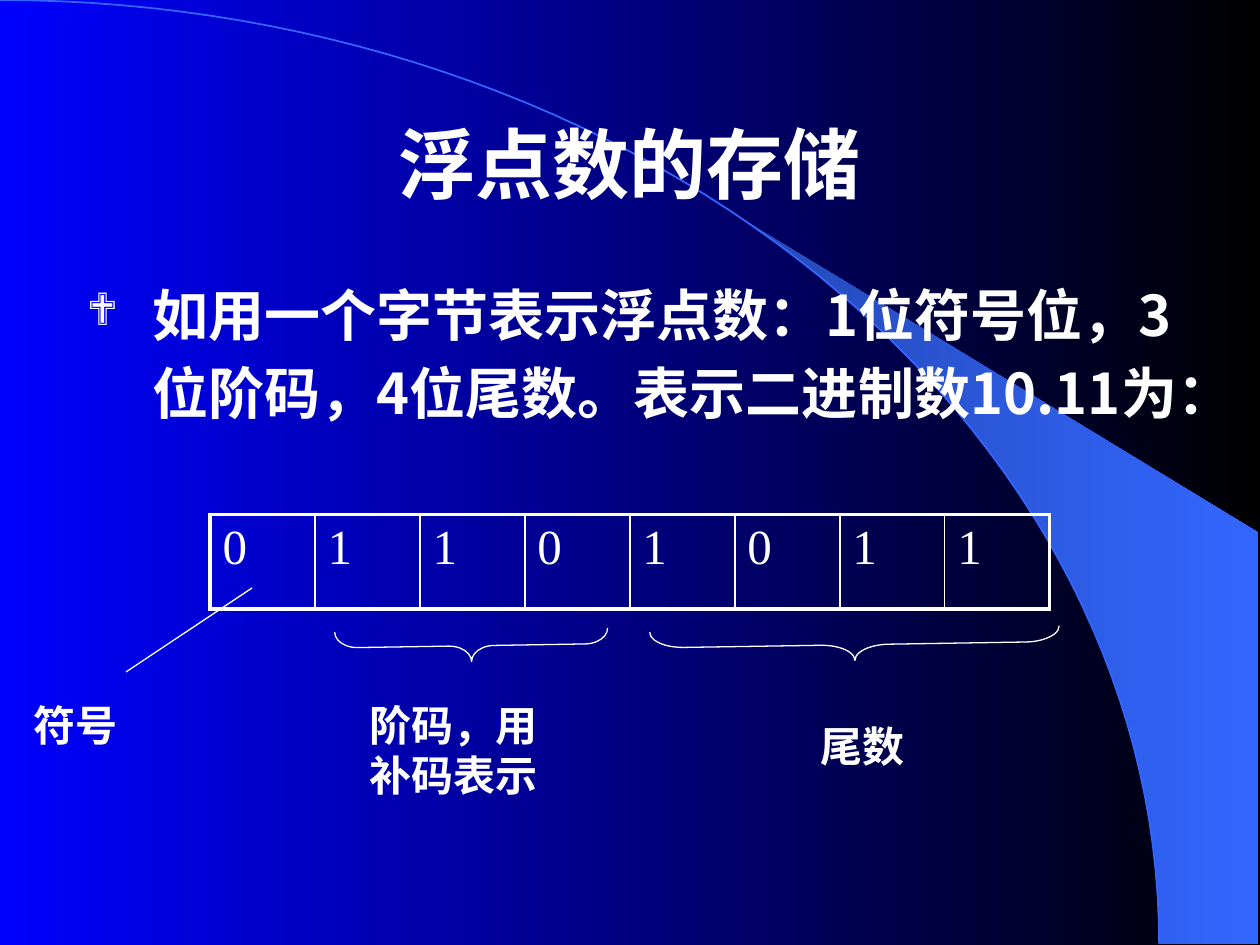
from math import asin, cos, pi, sin

from lxml.etree import SubElement
from pptx import Presentation
from pptx.dml.color import RGBColor
from pptx.enum.shapes import MSO_CONNECTOR, MSO_SHAPE
from pptx.enum.text import MSO_ANCHOR, PP_ALIGN
from pptx.oxml.ns import qn
from pptx.util import Inches, Pt

COLORS = {
    "text": "FFFFFF",
    "left": "0000FF",
    "right": "000000",
    "fan dark": "2449B6",
    "fan light": "3366FF",
}
RGB = {name: RGBColor.from_string(value) for name, value in COLORS.items()}

deck = Presentation()
deck.slide_width, deck.slide_height = Inches(10), Inches(7.5)
UNIT = deck.slide_width / 120  # the slide is a grid of 120 columns by 90 rows


def grid(*cells):
    """Turn columns and rows of the grid into lengths."""
    return [round(cell * UNIT) for cell in cells]


def style(paragraph, size, font_name, bold=True):
    font = paragraph.font
    font.size, font.name, font.bold = Pt(size), font_name, bold
    font.color.rgb = RGB["text"]
    SubElement(font._element, qn("a:ea"), typeface="Noto Sans CJK SC")


page = deck.slides.add_slide(deck.slide_layouts[5])

# Arc and fan; the fan's inner edge follows the arc
ARC_WIDTH, ARC_HEIGHT, FAN_LEFT, RIGHT = 110.4, 89.88, 70.7, 119.88
STEPS = 60
fan_start = asin(FAN_LEFT / ARC_WIDTH)
curves = {}
for name, start in (("fan", fan_start), ("arc", 0)):
    angles = [start + (pi / 2 - start) * step / STEPS for step in range(STEPS + 1)]
    curves[name] = [(ARC_WIDTH * sin(a), ARC_HEIGHT * (1 - cos(a))) for a in angles]
curves["fan"] += [(RIGHT, ARC_HEIGHT), (RIGHT, 50.76)]

outlines = {}
for name, points in curves.items():
    points = [grid(*point) for point in points]
    builder = page.shapes.build_freeform(*points[0])
    builder.add_line_segments(points[1:], close=name == "fan")
    outlines[name] = builder.convert_to_shape()
    outlines[name].shadow.inherit = False
outlines["fan"].line.fill.background()
outlines["arc"].fill.background()
outlines["arc"].line.color.rgb = RGB["fan light"]
outlines["arc"].line.width = Pt(1)

for fill, ends in (
    (page.background.fill, ("left", "right")),
    (outlines["fan"].fill, ("fan dark", "fan light")),
):
    fill.gradient()
    fill.gradient_angle = 0
    for stop, position, end in zip(fill.gradient_stops, (0, 1), ends):
        stop.position, stop.color.rgb = position, RGB[end]

# Title, in front of the arc
title = page.shapes.title
title.left, title.top, title.width, title.height = grid(9, 8, 102, 15)
title.text_frame.text = "浮点数的存储"
title.text_frame.vertical_anchor = MSO_ANCHOR.MIDDLE
title.text_frame.paragraphs[0].alignment = PP_ALIGN.CENTER
style(title.text_frame.paragraphs[0], 44, "Arial")
page.shapes._spTree.append(title._element)

# Bulleted statement
body = page.shapes.add_textbox(*grid(7.1, 25.2, 107.6, 22))
body.text_frame.word_wrap = True
paragraph = body.text_frame.paragraphs[0]
paragraph.text = "如用一个字节表示浮点数：1位符号位，3位阶码，4位尾数。表示二进制数10.11为："
paragraph.line_spacing = 1.15
properties = paragraph._p.get_or_add_pPr()
properties.set("marL", str(Inches(0.52)))
properties.set("indent", str(-Inches(0.52)))
bullet_color = SubElement(properties, qn("a:buClr"))
SubElement(bullet_color, qn("a:srgbClr"), val=COLORS["text"])
SubElement(properties, qn("a:buSzPct"), val="80000")
SubElement(properties, qn("a:buFont"), typeface="Wingdings")
SubElement(properties, qn("a:buChar"), char="❖")
style(paragraph, 32, "Noto Sans CJK SC")

# The byte, one bit a cell, with a heavier outer border
BITS = "01101011"
table = page.shapes.add_table(1, len(BITS), *grid(20, 49, 80, 9)).table
table.first_row = table.horz_banding = False
for column, bit in enumerate(BITS):
    cell = table.cell(0, column)
    cell.text = bit
    style(cell.text_frame.paragraphs[0], 28, "Times New Roman", bold=False)
    borders = {
        "lnL": 2.25 if column == 0 else 1,
        "lnR": 2.25 if column == len(BITS) - 1 else 1,
        "lnT": 2.25,
        "lnB": 2.25,
    }
    for side, width in borders.items():
        border = SubElement(cell._tc.get_or_add_tcPr(), qn(f"a:{side}"), w=str(Pt(width)))
        border_fill = SubElement(border, qn("a:solidFill"))
        SubElement(border_fill, qn("a:srgbClr"), val=COLORS["text"])
    cell.fill.background()

# Pointer to the sign bit
pointer = page.shapes.add_connector(MSO_CONNECTOR.STRAIGHT, *grid(24, 56, 12, 64))
pointer.line.color.rgb = RGB["text"]
pointer.line.width = Pt(0.75)
SubElement(pointer._element.spPr, qn("a:effectLst"))

# Braces under the exponent and the mantissa
for left, top, length, curl in ((43.4, 48.5, 26, 0.722), (79.9, 41.9, 39, 1.083)):
    brace = page.shapes.add_shape(MSO_SHAPE.LEFT_BRACE, *grid(left, top, 3, length))
    brace.rotation = 269.1
    brace.adjustments[0] = curl
    brace.shadow.inherit = False
    brace.fill.background()
    brace.line.color.rgb = RGB["text"]
    brace.line.width = Pt(0.75)

# Names of the parts
for text, *place in (
    ("符号", 2, 66, 11, 6),
    ("阶码，用补码表示", 34, 66, 19, 10.8),
    ("尾数", 77, 68, 21, 6),
):
    label = page.shapes.add_textbox(*grid(*place))
    label.text_frame.word_wrap = True
    label.text_frame.text = text
    style(label.text_frame.paragraphs[0], 24, "Times New Roman")

deck.save("out.pptx")
